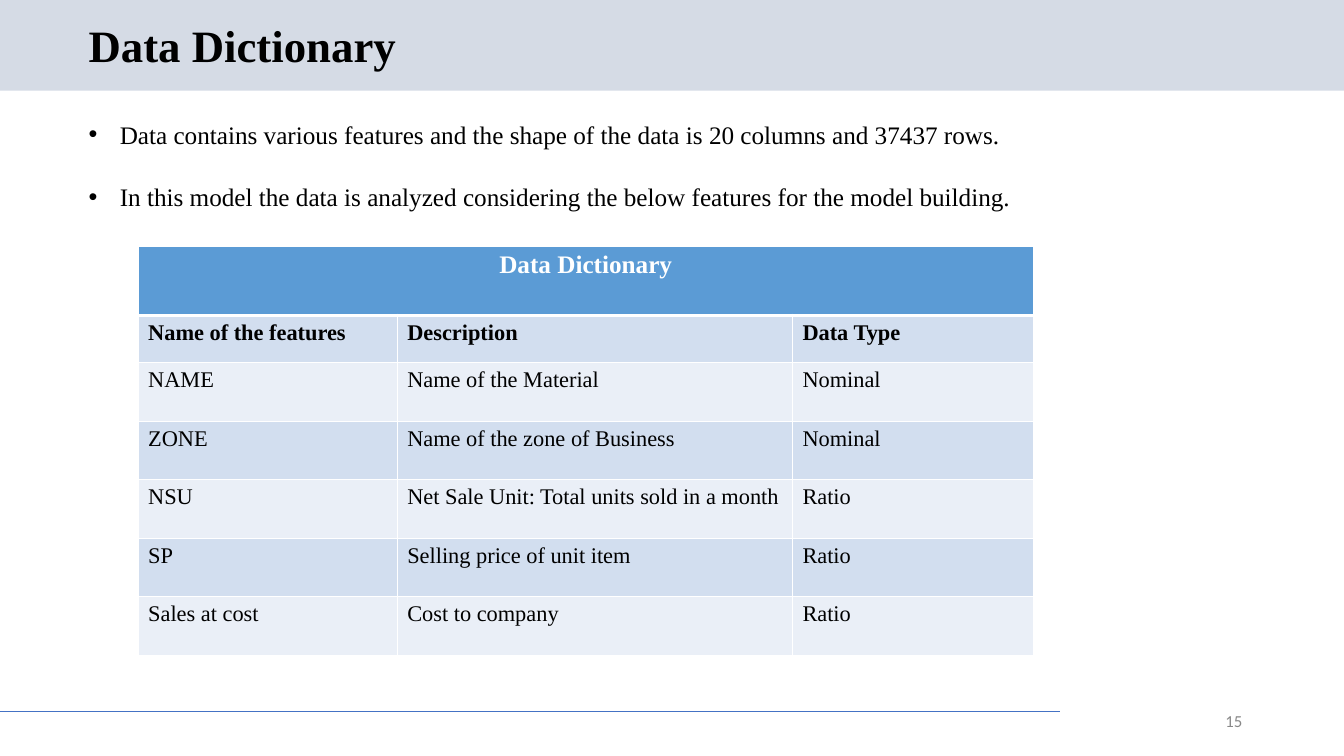
import pptx
import pptx.dml.color
import pptx.enum.shapes
import pptx.enum.text
import pptx.oxml.ns
import pptx.util
from dataclasses import dataclass
from lxml import etree

EMU_PER_PX = 9144


@dataclass(frozen=True)
class Theme:
    serif: str = "Times New Roman"
    sans: str = "Calibri"
    ink: str = "000000"
    white: str = "FFFFFF"
    banner: str = "D5DBE5"
    rule: str = "4472C4"
    muted: str = "888888"
    header: str = "5B9BD5"
    bands: tuple = ("D2DEEF", "EAEFF7")
    title_size: int = 32
    body_size: int = 18
    cell_size: int = 16
    number_size: int = 12
    rule_width: float = 0.75
    grid_width: int = 1
    header_rule_width: int = 3


THEME = Theme()
ALIGN = pptx.enum.text.PP_ALIGN
ANCHOR = pptx.enum.text.MSO_ANCHOR

BULLETS = (
    "Data contains various features and the shape of the data is 20 columns and 37437 rows.",
    "In this model the data is analyzed considering the below features for the model building.",
)
FEATURES = (
    ("Name of the features", "Description", "Data Type"),
    ("NAME", "Name of the Material", "Nominal"),
    ("ZONE", "Name of the zone of Business", "Nominal"),
    ("NSU", "Net Sale Unit: Total units sold in a month", "Ratio"),
    ("SP", "Selling price of unit item", "Ratio"),
    ("Sales at cost", "Cost to company", "Ratio"),
)
COLUMN_WIDTHS = (257, 392, 239)
ROW_HEIGHTS = (69, 47) + (58,) * 5


def px(length):
    return pptx.util.Emu(length * EMU_PER_PX)


def rgb(color):
    return pptx.dml.color.RGBColor.from_string(color)


def add_element(parent, tag, **attributes):
    return etree.SubElement(parent, pptx.oxml.ns.qn(tag), attributes)


def write(paragraph, text, size, color=THEME.ink, bold=False, face=THEME.serif):
    run = paragraph.add_run()
    run.text = text
    run.font.name = face
    run.font.size = pptx.util.Pt(size)
    run.font.bold = bold
    run.font.color.rgb = rgb(color)


def add_text_frame(slide, left, top, width, height, anchor=ANCHOR.MIDDLE):
    frame = slide.shapes.add_textbox(px(left), px(top), px(width), px(height)).text_frame
    frame.word_wrap = True
    frame.vertical_anchor = anchor
    return frame


def add_banner(slide):
    banner = slide.shapes.add_shape(
        pptx.enum.shapes.MSO_SHAPE.RECTANGLE, 0, 0, px(1333), px(90))
    banner.shadow.inherit = False
    banner.fill.solid()
    banner.fill.fore_color.rgb = rgb(THEME.banner)
    banner.line.fill.background()


def add_footer_rule(slide):
    rule = slide.shapes.add_connector(
        pptx.enum.shapes.MSO_CONNECTOR.STRAIGHT, 0, px(706), px(1051), px(706))
    rule.line.color.rgb = rgb(THEME.rule)
    rule.line.width = pptx.util.Pt(THEME.rule_width)
    add_element(rule._element.spPr, "a:effectLst")


def add_title(slide, text):
    title = add_text_frame(slide, 78, 18, 1150, 59).paragraphs[0]
    title.line_spacing = 0.9
    write(title, text, THEME.title_size, bold=True)


def add_page_number(slide, number):
    page = add_text_frame(slide, 942, 695, 300, 40).paragraphs[0]
    page.alignment = ALIGN.RIGHT
    write(page, number, THEME.number_size, THEME.muted, face=THEME.sans)


def add_bullets(slide, points):
    frame = add_text_frame(slide, 78, 113, 956, 131, ANCHOR.TOP)
    frame.word_wrap = False
    for index, point in enumerate(points):
        bullet = frame.add_paragraph() if index else frame.paragraphs[0]
        properties = bullet._p.get_or_add_pPr()
        properties.set("marL", str(px(31)))
        properties.set("indent", str(px(-31)))
        add_element(properties, "a:buFont", typeface="Arial")
        add_element(properties, "a:buChar", char="•")
        if index:
            bullet.space_before = pptx.util.Pt(23)
        write(bullet, point, THEME.body_size)


def style_cell(cell, fill, top=THEME.grid_width, bottom=THEME.grid_width):
    properties = cell._tc.get_or_add_tcPr()
    edges = {"L": THEME.grid_width, "R": THEME.grid_width, "T": top, "B": bottom}
    for side, width in edges.items():
        edge = add_element(properties, f"a:ln{side}", w=str(pptx.util.Pt(width)))
        paint = add_element(edge, "a:solidFill")
        add_element(paint, "a:srgbClr", val=THEME.white)
    cell.fill.solid()
    cell.fill.fore_color.rgb = rgb(fill)


def add_dictionary(slide, heading, features):
    dictionary = slide.shapes.add_table(
        len(ROW_HEIGHTS), len(COLUMN_WIDTHS), px(137), px(244),
        px(sum(COLUMN_WIDTHS)), px(sum(ROW_HEIGHTS))).table
    for column, width in zip(dictionary.columns, COLUMN_WIDTHS):
        column.width = px(width)
    for row, height in zip(dictionary.rows, ROW_HEIGHTS):
        row.height = px(height)

    for cell in dictionary.rows[0].cells:
        style_cell(cell, THEME.header, bottom=THEME.header_rule_width)
    banner_cell = dictionary.cell(0, 0)
    banner_cell.merge(dictionary.cell(0, len(COLUMN_WIDTHS) - 1))
    caption = banner_cell.text_frame.paragraphs[0]
    caption.alignment = ALIGN.CENTER
    write(caption, heading, THEME.body_size, THEME.white, bold=True)

    for index, feature in enumerate(features):
        is_label = index == 0
        top = THEME.header_rule_width if is_label else THEME.grid_width
        for column, text in enumerate(feature):
            cell = dictionary.cell(index + 1, column)
            style_cell(cell, THEME.bands[index % 2], top=top)
            write(cell.text_frame.paragraphs[0], text, THEME.cell_size, bold=is_label)


def main():
    deck = pptx.Presentation()
    deck.slide_width, deck.slide_height = px(1333), px(750)
    slide = deck.slides.add_slide(deck.slide_layouts[6])
    add_banner(slide)
    add_footer_rule(slide)
    add_title(slide, "Data Dictionary")
    add_page_number(slide, "15")
    add_bullets(slide, BULLETS)
    add_dictionary(slide, "Data Dictionary", FEATURES)
    deck.save("out.pptx")


if __name__ == "__main__":
    main()
